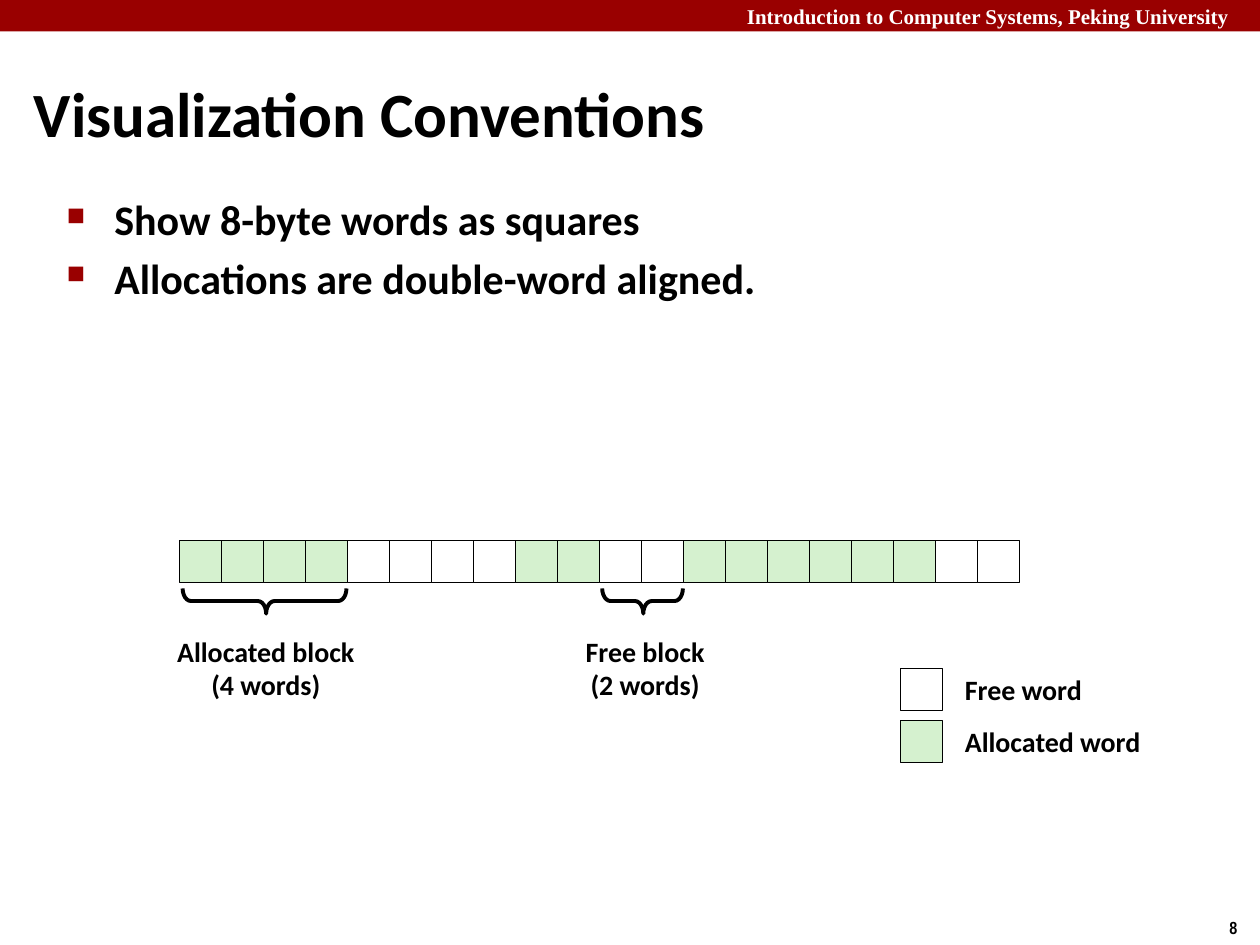
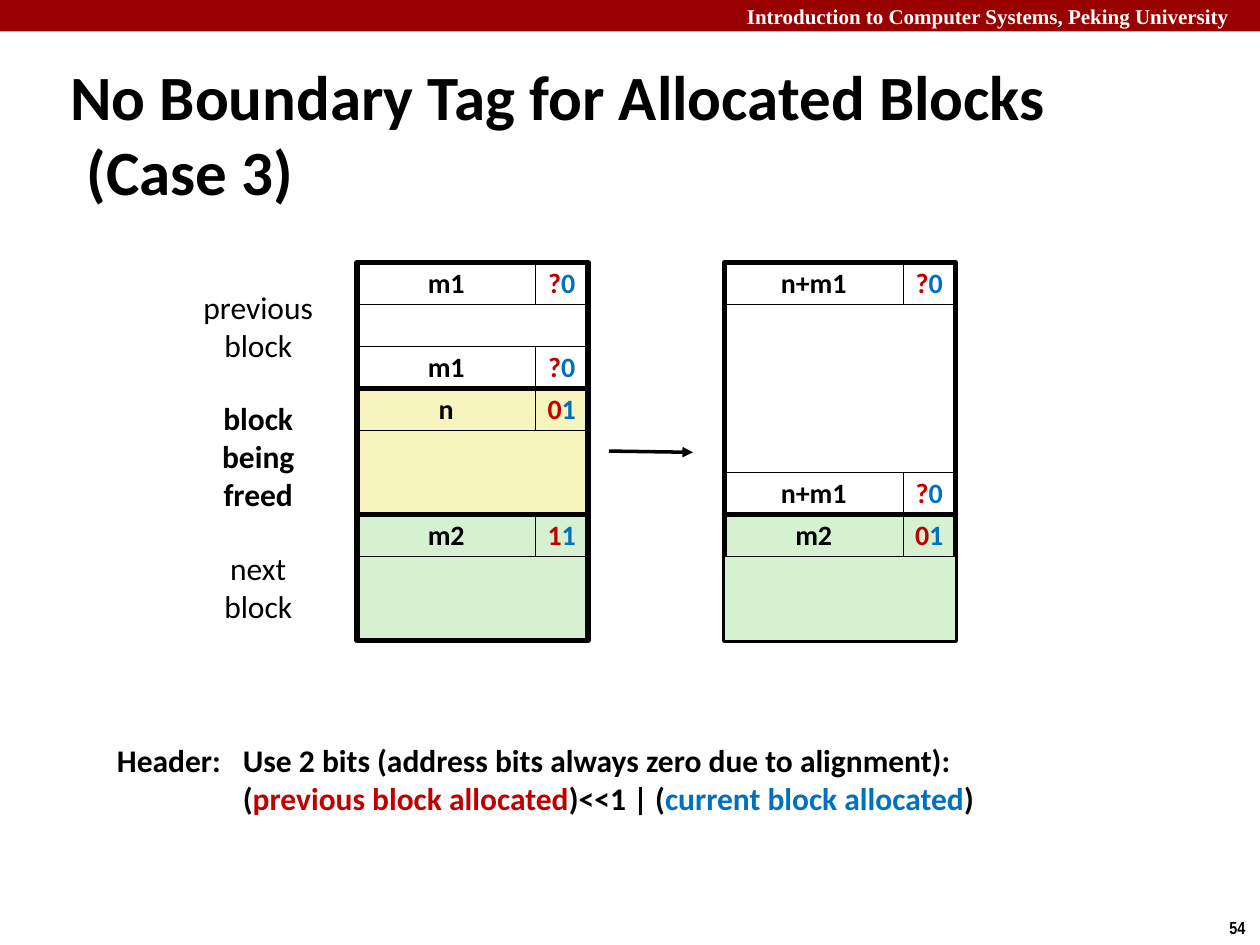
import dataclasses
import typing

import lxml.etree
import pptx
import pptx.dml.color
import pptx.enum.shapes
import pptx.enum.text
import pptx.oxml.ns
import pptx.util

COLUMNS, ROWS = 30, 22.5
SLIDE_WIDTH, SLIDE_HEIGHT = pptx.util.Inches(10), pptx.util.Inches(7.5)

CRIMSON = "990000"
BLACK = "000000"
WHITE = "FFFFFF"
GREEN = "D5F1CF"
YELLOW = "F6F5BD"
RED = "C00000"
BLUE = "0070C0"

SHAPES = pptx.enum.shapes.MSO_SHAPE
ANCHOR = pptx.enum.text.MSO_ANCHOR
ALIGN = pptx.enum.text.PP_ALIGN


class Area(typing.NamedTuple):
    column: float
    row: float
    columns: float
    rows: float


class Span(typing.NamedTuple):
    text: str
    color: str = BLACK


@dataclasses.dataclass(frozen=True)
class Style:
    size: float
    bold: bool = True
    color: str = BLACK
    font: str = "Calibri"
    align: ALIGN = ALIGN.LEFT
    anchor: ANCHOR = ANCHOR.TOP
    wrap: bool = True
    spacing: float = 1.0


@dataclasses.dataclass(frozen=True)
class Block:
    column: float
    row: float
    rows: float
    size: str
    bits: str
    color: str = WHITE
    footer: bool = False
    body_in_front: bool = False


TITLE = Style(36, anchor=ANCHOR.MIDDLE)
BULLET = Style(24)
CAPTION = Style(16, align=ALIGN.CENTER, wrap=False, spacing=0.98)
LEGEND = Style(16, spacing=0.98)
CELL = Style(16, align=ALIGN.CENTER, anchor=ANCHOR.MIDDLE, wrap=False, spacing=0.98)
BLOCK_NAME = Style(18, bold=False, align=ALIGN.CENTER, wrap=False)
FREED_NAME = dataclasses.replace(BLOCK_NAME, bold=True)
NOTE = Style(18)
COURSE = Style(12, color=WHITE, font="Times New Roman", anchor=ANCHOR.MIDDLE)
NUMBER = Style(10, font="Arial Narrow", wrap=False)

SIZE_COLUMNS, TAG_COLUMNS = 4.25, 1.25
BLOCK_COLUMNS = SIZE_COLUMNS + TAG_COLUMNS
BEFORE, AFTER, TOP = 8.5, 17.25, 6.25
HEAP_COLUMN, HEAP_ROW = 4.27, 12.87
HEAP_RUNS = [(4, GREEN), (4, WHITE), (2, GREEN), (2, WHITE), (6, GREEN), (2, WHITE)]

BLOCKS = [
    Block(BEFORE, TOP, 3, "m1", "?0", footer=True),
    Block(BEFORE, TOP + 3, 3, "n", "01", YELLOW),
    Block(BEFORE, TOP + 6, 3, "m2", "11", GREEN),
    Block(AFTER, TOP, 6, "n+m1", "?0", footer=True),
    Block(AFTER, TOP + 6, 3, "m2", "01", GREEN, body_in_front=True),
]


def rgb(color: str) -> pptx.dml.color.RGBColor:
    return pptx.dml.color.RGBColor.from_string(color)


def across(columns: float) -> int:
    return round(SLIDE_WIDTH * columns / COLUMNS)


def down(rows: float) -> int:
    return round(SLIDE_HEIGHT * rows / ROWS)


def place(area: Area) -> tuple[int, int, int, int]:
    return across(area.column), down(area.row), across(area.columns), down(area.rows)


def add_tag(parent, name: str, **attributes: str):
    return lxml.etree.SubElement(parent, pptx.oxml.ns.qn(name), attributes)


def write(shape, lines: list[list[Span]], style: Style) -> None:
    frame = shape.text_frame
    frame.word_wrap = style.wrap
    frame.vertical_anchor = style.anchor
    for index, line in enumerate(lines):
        para = frame.add_paragraph() if index else frame.paragraphs[0]
        para.alignment = style.align
        para.line_spacing = style.spacing
        para.text = line[0].text
        colors = [line[0].color] * len(para.runs)
        for span in line[1:]:
            para.add_run().text = span.text
            colors.append(span.color)
        for run, color in zip(para.runs, colors):
            run.font.name = style.font
            run.font.size = pptx.util.Pt(style.size)
            run.font.bold = style.bold
            run.font.color.rgb = rgb(color)


def add_spans(page, area: Area, lines: list[list[Span]], style: Style):
    box = page.shapes.add_textbox(*place(area))
    write(box, lines, style)
    return box


def add_text(page, area: Area, texts: list[str], style: Style):
    return add_spans(page, area, [[Span(text, style.color)] for text in texts], style)


def add_shape(page, area: Area, fill: str | None = None, line: float = 0,
              kind: SHAPES = SHAPES.RECTANGLE):
    shape = page.shapes.add_shape(kind, *place(area))
    shape.shadow.inherit = False
    if fill:
        shape.fill.solid()
        shape.fill.fore_color.rgb = rgb(fill)
    else:
        shape.fill.background()
    if line:
        shape.line.color.rgb = rgb(BLACK)
        shape.line.width = pptx.util.Pt(line)
    else:
        shape.line.fill.background()
    return shape


def add_cell(page, area: Area, fill: str, spans: list[Span] | None = None) -> None:
    cell = add_shape(page, area, fill, 0.25)
    if spans:
        write(cell, [spans], CELL)


def indent(para, left: float, first: float) -> None:
    properties = para._p.get_or_add_pPr()
    properties.set("marL", str(pptx.util.Inches(left)))
    properties.set("indent", str(pptx.util.Inches(first)))


def add_bullet(para) -> None:
    indent(para, 0.38, -0.38)
    properties = para._p.get_or_add_pPr()
    add_tag(add_tag(properties, "a:buClr"), "a:srgbClr", val=CRIMSON)
    add_tag(properties, "a:buSzPct", val="60000")
    add_tag(properties, "a:buChar", char="■")


def add_brace(page, area: Area) -> None:
    brace = add_shape(page, area, line=2.25, kind=SHAPES.LEFT_BRACE)
    brace.rotation = 270
    brace.adjustments[0], brace.adjustments[1] = 0.33, 0.51


def add_arrow(page, start: tuple[float, float], end: tuple[float, float]) -> None:
    arrow = page.shapes.add_connector(
        pptx.enum.shapes.MSO_CONNECTOR.STRAIGHT,
        across(start[0]), down(start[1]), across(end[0]), down(end[1]))
    arrow.line.color.rgb = rgb(BLACK)
    arrow.line.width = pptx.util.Pt(2)
    add_tag(arrow.line._get_or_add_ln(), "a:tailEnd", type="triangle")
    add_tag(arrow._element.spPr, "a:effectLst")


def add_tagged_row(page, block: Block, row: float) -> None:
    add_cell(page, Area(block.column, row, SIZE_COLUMNS, 1), block.color, [Span(block.size)])
    add_cell(page, Area(block.column + SIZE_COLUMNS, row, TAG_COLUMNS, 1), block.color,
             [Span(block.bits[0], RED), Span(block.bits[1], BLUE)])


def add_block(page, block: Block) -> None:
    body = Area(block.column, block.row + 1, BLOCK_COLUMNS, block.rows - 1 - block.footer)
    add_tagged_row(page, block, block.row)
    if not block.body_in_front:
        add_cell(page, body, block.color)
    if block.footer:
        add_tagged_row(page, block, block.row + block.rows - 1)
    add_shape(page, Area(block.column, block.row, BLOCK_COLUMNS, block.rows), line=3)
    if block.body_in_front:
        add_cell(page, body, block.color)


def add_page(deck, number: int, title: str, title_area: Area):
    page = deck.slides.add_slide(deck.slide_layouts[6])
    add_shape(page, Area(0, 0, COLUMNS, 0.75), CRIMSON)
    course = add_text(page, Area(17.49, 0, 12.51, 0.75),
                      ["Introduction to Computer Systems, Peking University"], COURSE)
    course.text_frame.margin_top = course.text_frame.margin_bottom = 0
    add_text(page, Area(28.98, 21.69, 1.02, 0.81), [str(number)], NUMBER)
    heading = add_text(page, title_area, [title], TITLE)
    indent(heading.text_frame.paragraphs[0], 0.13, -0.13)
    return page


def add_conventions(deck) -> None:
    page = add_page(deck, 8, "Visualization Conventions", Area(0.51, 1.44, 29.49, 2.49))
    bullets = add_text(page, Area(1.29, 4.47, 25.92, 16.32),
                       ["Show 8-byte words as squares",
                        "Allocations are double-word aligned."], BULLET)
    for index, para in enumerate(bullets.text_frame.paragraphs):
        para.space_before = pptx.util.Pt(4.5 if index else 0)
        add_bullet(para)

    words = [color for count, color in HEAP_RUNS for _ in range(count)]
    for index, color in enumerate(words):
        add_cell(page, Area(HEAP_COLUMN + index, HEAP_ROW, 1, 1), color)

    add_text(page, Area(3.9, 15, 4.86, 1.89), ["Allocated block", "(4 words)"], CAPTION)
    add_text(page, Area(13.56, 15, 3.6, 1.89), ["Free block", "(2 words)"], CAPTION)
    add_brace(page, Area(6, 12.36, 0.6, 3.9))
    add_brace(page, Area(15, 13.35, 0.6, 1.92))

    for index, (name, color) in enumerate([("Free word", WHITE), ("Allocated word", GREEN)]):
        row = 15.9 + 1.25 * index
        add_cell(page, Area(21.43, row, 1, 1), color)
        add_text(page, Area(22.68, row, 6, 1.11), [name], LEGEND)


def add_case_three(deck) -> None:
    page = add_page(deck, 54, "No Boundary Tag for Allocated Blocks\v(Case 3)",
                    Area(1.38, 2.22, 27.24, 1.89))
    for block in BLOCKS:
        add_block(page, block)
    add_arrow(page, (14.5, 10.74), (16.5, 10.77))

    names = [("previous\vblock", 6.72, 2.13, BLOCK_NAME),
             ("block\vbeing\vfreed", 9.36, 3.03, FREED_NAME),
             ("next\vblock", 12.93, 2.13, BLOCK_NAME)]
    for name, row, rows, style in names:
        add_text(page, Area(4.5, row, 3.3, rows), [name], style)

    note = add_spans(page, Area(2.49, 17.49, 22.5, 2.13), [
        [Span("Header:\tUse 2 bits (address bits always zero due to alignment):")],
        [Span("("), Span("previous block allocated", RED), Span(")<<1 | ("),
         Span("current block allocated", BLUE), Span(")")],
    ], NOTE)
    for para, first in zip(note.text_frame.paragraphs, (-1, 0)):
        indent(para, 1, first)


def main() -> None:
    deck = pptx.Presentation()
    deck.slide_width, deck.slide_height = SLIDE_WIDTH, SLIDE_HEIGHT
    add_conventions(deck)
    add_case_three(deck)
    deck.save("out.pptx")


if __name__ == "__main__":
    main()
